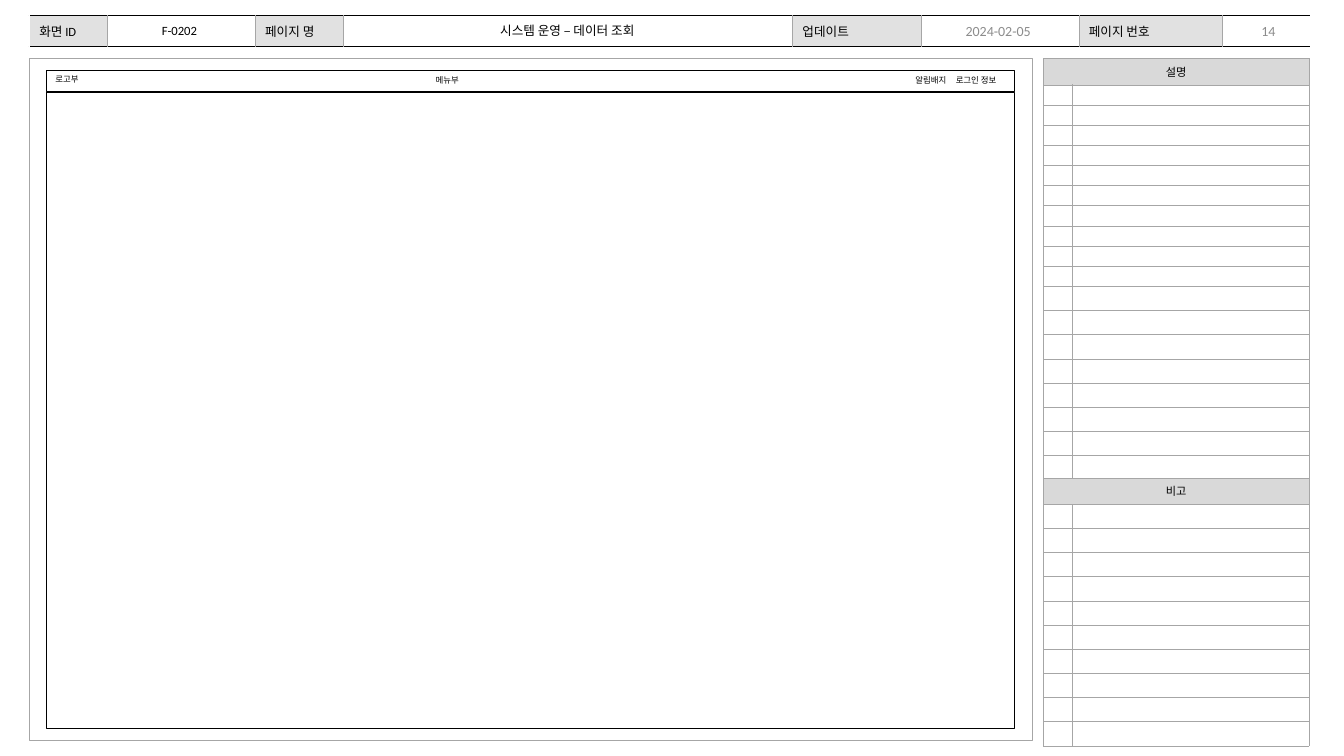
from typing import NamedTuple

from lxml import etree
from pptx import Presentation
from pptx import util as u
from pptx.dml.color import RGBColor
from pptx.enum import shapes, text
from pptx.oxml import ns

BLACK = RGBColor(0x00, 0x00, 0x00)
WHITE = RGBColor(0xFF, 0xFF, 0xFF)
GRAY = RGBColor(0xA6, 0xA6, 0xA6)
MUTED = RGBColor(0x8C, 0x8C, 0x8C)
LABEL = RGBColor(0xE1, 0xE1, 0xE1)
HEAD = RGBColor(0xD9, 0xD9, 0xD9)
FONT = "Calibri"


class Edge(NamedTuple):
    color: RGBColor
    width: float


class Note(NamedTuple):
    words: str
    left: float
    top: float
    width: float
    height: float
    size: float
    color: RGBColor = BLACK
    tight: bool = False


class Panel(NamedTuple):
    title: str
    top: float
    rows: list[float]


class Frame(NamedTuple):
    left: float
    top: float
    width: float
    height: float
    edge: Edge
    veil: bool = False


THIN = Edge(GRAY, 0.25)
RULE = Edge(BLACK, 0.5)
BLANK = Edge(WHITE, 1)

BAR_COLS = [0.77, 1.47, 0.87, 4.46, 1.28, 1.56, 1.42, 0.88]
BAR_TEXT = ["화면 ID", "", "페이지 명", "", "업데이트", "", "페이지 번호", ""]

NOTES = [
    Note("F-0202", 1.08, 0.18, 1.4, 0.24, 9),
    Note("시스템 운영 – 데이터 조회", 3.43, 0.18, 4.39, 0.24, 9),
    Note("2024-02-05", 9.18, 0.2, 1.44, 0.21, 10, MUTED),
    Note("14", 12.17, 0.2, 0.82, 0.21, 10, MUTED),
    Note("로고부", 0.55, 0.74, 0.25, 0.1, 6, tight=True),
    Note("메뉴부", 4.32, 0.75, 0.25, 0.1, 6, tight=True),
    Note("알림배지", 9.08, 0.75, 0.34, 0.1, 6, tight=True),
    Note("로그인 정보", 9.48, 0.75, 0.44, 0.1, 6, tight=True),
]

PANELS = [
    Panel("설명", 0.58, [0.26] + [0.2] * 10 + [0.24] * 8),
    Panel("비고", 4.74, [0.26] + [0.24] * 10),
]

FRAMES = [
    Frame(0.29, 0.58, 9.95, 6.77, Edge(GRAY, 1)),
    Frame(0.46, 0.7, 9.6, 0.21, THIN._replace(color=BLACK), veil=True),
    Frame(0.46, 0.91, 9.6, 6.31, THIN._replace(color=BLACK)),
]


def style(para, size: float, color: RGBColor) -> None:
    for run in para.runs:
        run.font.name = FONT
        run.font.size = u.Pt(size)
        run.font.color.rgb = color


def add_grid(slide, left: float, top: float, cols: list[float], rows: list[float]):
    frame = slide.shapes.add_table(
        len(rows), len(cols), u.Inches(left), u.Inches(top),
        u.Inches(sum(cols)), u.Inches(sum(rows)))
    grid = frame.table
    grid.first_row = grid.horz_banding = False
    for col, width in zip(grid.columns, cols):
        col.width = u.Inches(width)
    for row, height in zip(grid.rows, rows):
        row.height = u.Inches(height)
    return grid


def fill_cell(cell, words: str, size: float, fill: RGBColor | None,
              edges: dict[str, Edge], inset: float = 0) -> None:
    cell.margin_left = u.Inches(inset)
    cell.margin_right = cell.margin_top = cell.margin_bottom = 0
    cell.vertical_anchor = text.MSO_ANCHOR.MIDDLE
    # Borders come before the fill in the cell properties
    props = cell._tc.get_or_add_tcPr()
    for side in "LRTB":
        edge = edges[side]
        line = etree.SubElement(props, ns.qn(f"a:ln{side}"), w=str(u.Pt(edge.width)))
        solid = etree.SubElement(line, ns.qn("a:solidFill"))
        etree.SubElement(solid, ns.qn("a:srgbClr"), val=str(edge.color))
    if fill is None:
        cell.fill.background()
    else:
        cell.fill.solid()
        cell.fill.fore_color.rgb = fill
    para = cell.text_frame.paragraphs[0]
    if words:
        para.text = words
        style(para, size, BLACK)
    else:
        # A small end mark keeps empty rows low
        etree.SubElement(para._p, ns.qn("a:endParaRPr"), sz=str(size * 100))


def add_bar(slide) -> None:
    grid = add_grid(slide, 0.29, 0.15, BAR_COLS, [0.31])
    last = len(BAR_COLS) - 1
    for i, words in enumerate(BAR_TEXT):
        edges = {"L": THIN if i else BLANK, "R": THIN if i < last else BLANK,
                 "T": RULE, "B": RULE}
        fill_cell(grid.cell(0, i), words, 9, LABEL if words else None, edges, 0.1)


def add_panel(slide, panel: Panel) -> None:
    grid = add_grid(slide, 10.35, panel.top, [0.28, 2.35], panel.rows)
    edges = dict.fromkeys("LRTB", THIN)
    for r in range(len(panel.rows)):
        for c in range(2):
            words = panel.title if r == c == 0 else ""
            fill_cell(grid.cell(r, c), words, 8, None if r else HEAD, edges)
    title = grid.cell(0, 0)
    title.merge(grid.cell(0, 1))
    title.text_frame.paragraphs[0].alignment = text.PP_ALIGN.CENTER


def add_frame(slide, frame: Frame) -> None:
    box = slide.shapes.add_shape(
        shapes.MSO_SHAPE.RECTANGLE, *(u.Inches(n) for n in frame[:4]))
    box.shadow.inherit = False
    box.line.color.rgb = frame.edge.color
    box.line.width = u.Pt(frame.edge.width)
    if frame.veil:
        box.fill.solid()
        box.fill.fore_color.rgb = WHITE
        tint = box._element.spPr.find(".//" + ns.qn("a:srgbClr"))
        etree.SubElement(tint, ns.qn("a:alpha"), val="30000")
    else:
        box.fill.background()


def add_note(slide, note: Note) -> None:
    box = slide.shapes.add_textbox(*(u.Inches(n) for n in note[1:5]))
    body = box.text_frame
    body.text = note.words
    body.vertical_anchor = text.MSO_ANCHOR.MIDDLE
    body.word_wrap = not note.tight
    para = body.paragraphs[0]
    if note.tight:
        body.margin_left = body.margin_right = 0
        body.margin_top = body.margin_bottom = 0
        body.auto_size = text.MSO_AUTO_SIZE.SHAPE_TO_FIT_TEXT
    else:
        para.alignment = text.PP_ALIGN.CENTER
    style(para, note.size, note.color)


def main() -> None:
    deck = Presentation()
    deck.slide_width, deck.slide_height = u.Inches(13.33), u.Inches(7.5)
    slide = deck.slides.add_slide(deck.slide_layouts[6])

    # Title bar, side panels, screen frames, then the text on top
    add_bar(slide)
    for panel in PANELS:
        add_panel(slide, panel)
    for frame in FRAMES:
        add_frame(slide, frame)
    for note in NOTES:
        add_note(slide, note)

    deck.save("out.pptx")


if __name__ == "__main__":
    main()
